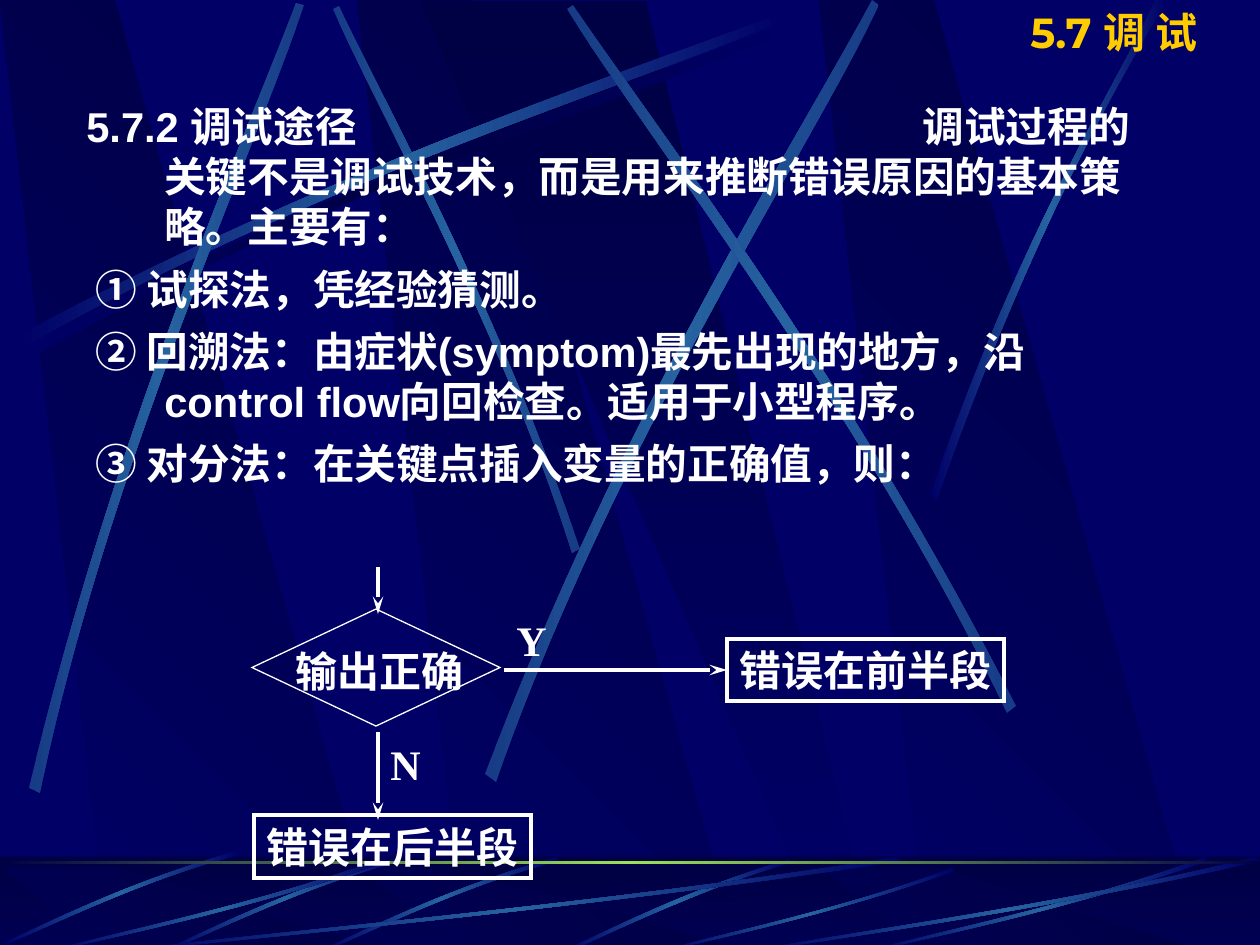
import copy
import pptx
import pptx.dml.color
import pptx.enum.shapes
import pptx.enum.text
import pptx.oxml
import pptx.oxml.ns
import pptx.util

PX = 914400 / 126
SHAPE = pptx.enum.shapes.MSO_SHAPE
NAMESPACE = pptx.oxml.ns.nsdecls("a")
NAVY, MIDNIGHT, STEEL, DUSK, WHITE = "000066", "000044", "2663A0", "173B86", "FFFFFF"
hue = pptx.dml.color.RGBColor.from_string

deck = pptx.Presentation()
deck.slide_width, deck.slide_height = pptx.util.Inches(10), pptx.util.Inches(7.5)
slide = deck.slides.add_slide(deck.slide_layouts[6])
slide.background.fill.solid()
slide.background.fill.fore_color.rgb = hue(NAVY)
shapes = slide.shapes


def place(kind, *box):
    shape = shapes.add_shape(kind, *[round(v * PX) for v in box])
    shape.shadow.inherit = False
    shape.line.fill.background()
    shape.fill.background()
    return shape


def blend(shape, colours, angle):
    shape.shadow.inherit = False
    shape.line.fill.background()
    shape.fill.gradient()
    shape.fill.gradient_angle = angle
    stops = shape.fill._fill._gradFill.gsLst
    while len(stops) < len(colours):
        stops.append(copy.deepcopy(stops[0]))
    for i, (stop, colour) in enumerate(zip(shape.fill.gradient_stops, colours)):
        stop.color.rgb = hue(colour)
        stop.position = i / (len(colours) - 1)


glow, soft_glow = [NAVY, STEEL, NAVY], [DUSK, STEEL, DUSK]
beam = [(25, 346), (358, 169), (660, 74), (789, 23), (793, 30), (665, 87), (320, 190), (29, 359)]
sky_streaks = [
    (beam, [NAVY, MIDNIGHT, NAVY]),
    ([(580, 549), (493, 295), (381, 97), (339, 6), (333, 9), (372, 100), (501, 325), (572, 553)], soft_glow),
    ([(x - 8, y - 10) for x, y in beam], glow),
    ([(29, 788), (117, 421), (248, 132), (296, 3), (304, 5), (261, 136), (108, 464), (40, 793)], soft_glow),
    ([(485, 774), (627, 403), (804, 129), (872, 0), (879, 5), (818, 136), (612, 447), (496, 782)], soft_glow),
    ([(1016, 706), (844, 369), (650, 120), (573, 5), (567, 9), (639, 127), (863, 410), (1007, 713)], soft_glow),
    ([(930, 495), (1026, 218), (1119, 83), (1155, 0), (1168, 0), (1053, 183), (969, 406), (937, 500)], glow),
]
ray = [(557, 857), (447, 888), (362, 932), (323, 949), (324, 951), (363, 936), (460, 886), (559, 861)]
ground_streaks = [
    ([(790, 859), (677, 893), (601, 935), (564, 950), (571, 951), (617, 929), (719, 882), (791, 863)], glow),
]
for dx, dy in [(0, 0), (-157, 0), (-320, -6)]:
    ground_streaks.append(([(x + dx, y + dy) for x, y in ray], glow))
sweep = [(1, .04), (.57, .57), (.17, .85), (.01, 1), (0, .99), (.16, .82), (.61, .51), (.99, 0)]
for left, top, width in [(126, 857, 777), (53, 857, 336), (664, 868, 291), (872, 857, 336), (756, 857, 504)]:
    ground_streaks.append(([(left + fx * width, top + fy * (951 - top)) for fx, fy in sweep], glow))

for top, bottom, streaks in [(1, 947, sky_streaks), (867, 950, ground_streaks)]:
    if streaks is ground_streaks:
        blend(place(SHAPE.RECTANGLE, 0, 857, 1260, 94), [MIDNIGHT, NAVY], 270)
    panels = [([(x + dx, y) for x, y in [(108, bottom), (381, bottom), (115, top), (0, top)]], [NAVY, MIDNIGHT], 45)
              for dx in (357, 0, 819)]
    panels.append(([(420, top), (829, bottom), (874, bottom), (646, top)], [MIDNIGHT, NAVY], 270))
    for corners, colours, angle in panels:
        pen = shapes.build_freeform(*corners[0], scale=PX)
        pen.add_line_segments(corners[1:], close=True)
        blend(pen.convert_to_shape(), colours, angle)
    if streaks is ground_streaks:
        veil = place(SHAPE.RECTANGLE, 0, 856, 1260, 94)
        veil.fill.solid()
        veil.fill.fore_color.rgb = hue(MIDNIGHT)
        tint = veil._element.spPr.find(".//" + pptx.oxml.ns.qn("a:srgbClr"))
        tint.append(pptx.oxml.parse_xml(f'<a:alpha {NAMESPACE} val="50000"/>'))
    for controls, colours in streaks:
        pen = shapes.build_freeform(*controls[0], scale=PX)
        pen.add_line_segments(controls[1:], close=True)
        streak = pen.convert_to_shape()
        segments = streak._element.findall(".//" + pptx.oxml.ns.qn("a:lnTo"))
        for edge in (segments[:3], segments[4:]):
            curve = pptx.oxml.parse_xml(f'<a:cubicBezTo {NAMESPACE}/>')
            edge[0].addprevious(curve)
            for segment in edge:
                curve.append(segment[0])
                segment.getparent().remove(segment)
        blend(streak, colours, 0)

blend(place(SHAPE.RECTANGLE, 0, 861, 1260, 3), [MIDNIGHT, "9CE157", MIDNIGHT], 0)

approaches = [
    "5.7.2 调试途径| |调试过程的关键不是调试技术，而是用来推断错误原因的基本策略。主要有：",
    " ① 试探法，凭经验猜测。",
    " ② 回溯法：由症状(symptom)最先出现的地方，沿control flow向回检查。适用于小型程序。",
    " ③ 对分法：在关键点插入变量的正确值，则：",
]
body_font = {"size": pptx.util.Pt(23.8), "bold": True, "name": "Arial"}
chart_font = {"size": pptx.util.Pt(24), "bold": True, "name": "Times New Roman"}
title_font = {"size": pptx.util.Pt(24), "bold": True, "name": "Montserrat"}

decision = place(SHAPE.DIAMOND, 252, 609, 248, 117)
front_half = place(SHAPE.RECTANGLE, 727, 639, 277, 62)
back_half = place(SHAPE.RECTANGLE, 254, 815, 277, 63)
for node, weight in [(decision, 0.75), (front_half, 2), (back_half, 2)]:
    node.line.color.rgb = hue(WHITE)
    node.line.width = pptx.util.Pt(weight)
    node.line._get_or_add_ln().append(pptx.oxml.parse_xml(f'<a:miter {NAMESPACE} lim="800000"/>'))

for x1, y1, x2, y2 in [(378, 567, 378, 614), (504, 670, 727, 670), (378, 732, 378, 820)]:
    arrow = shapes.add_connector(pptx.enum.shapes.MSO_CONNECTOR.STRAIGHT, *[round(v * PX) for v in (x1, y1, x2, y2)])
    if y1 == y2:
        arrow.end_connect(front_half, 1)
    arrow.line.color.rgb = hue(WHITE)
    arrow.line.width = pptx.util.Pt(2)
    arrow.line._get_or_add_ln().append(pptx.oxml.parse_xml(f'<a:tailEnd {NAMESPACE} type="stealth" len="lg"/>'))
    arrow._element.spPr.append(pptx.oxml.parse_xml(f'<a:effectLst {NAMESPACE}/>'))

captions = [
    ((74, 95, 1071, 462), approaches, body_font, WHITE),
    ((283, 639, 199, 63), ["输出正确"], chart_font, WHITE),
    (front_half, ["错误在前半段"], chart_font, WHITE),
    (back_half, ["错误在后半段"], chart_font, WHITE),
    ((378, 732, 53, 63), ["N"], chart_font, WHITE),
    ((504, 608, 53, 63), ["Y"], chart_font, WHITE),
    ((1018, 0, 242, 63), ["5.7 |调 试"], title_font, "FFCC00"),
]
for target, lines, font, colour in captions:
    boxed = not isinstance(target, tuple)
    holder = target if boxed else shapes.add_textbox(*[round(v * PX) for v in target])
    frame = holder.text_frame
    frame.word_wrap = not boxed
    for i, line in enumerate(lines):
        paragraph = frame.paragraphs[0] if i == 0 else frame.add_paragraph()
        paragraph.alignment = pptx.enum.text.PP_ALIGN.LEFT
        if lines is approaches:
            indents = paragraph._p.get_or_add_pPr()
            indents.set("marL", str(round(78 * PX)))
            indents.set("indent", str(round(-78 * PX)))
            if i:
                paragraph.space_before = pptx.util.Pt(7)
        for part in line.split("|"):
            run = paragraph.add_run()
            run.text = part
            for attribute, value in font.items():
                setattr(run.font, attribute, value)
            run.font.color.rgb = hue(colour)
            if part == " ":
                run.font._element.set("spc", "31800")
            if part == "调 试":
                run.font.name = "Noto Sans CJK SC"

deck.save("out.pptx")
